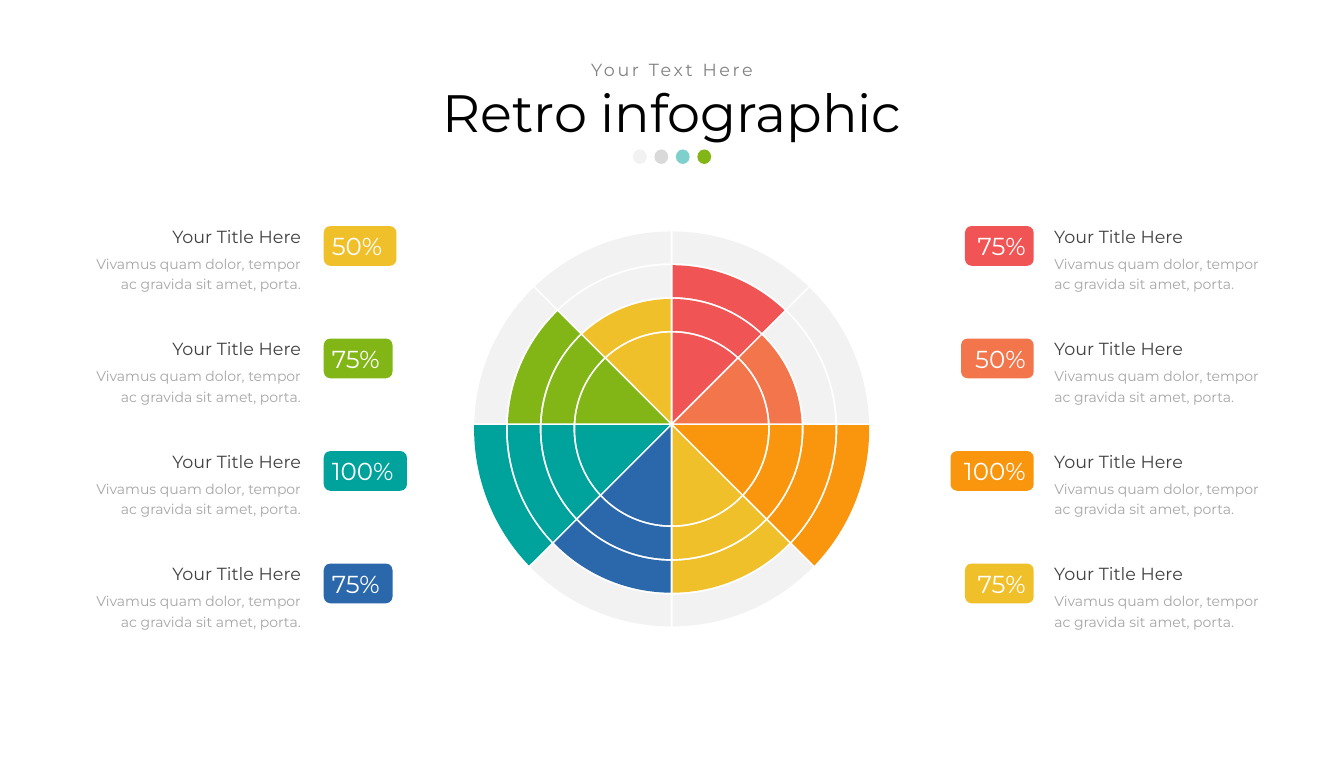
"""Build the retro infographic slide: a segmented wheel with eight percentage labels."""
from math import atan2, cos, hypot, radians, sin, sqrt, tan

from lxml import etree
from pptx import Presentation
from pptx.dml.color import RGBColor
from pptx.enum.shapes import MSO_SHAPE
from pptx.enum.text import MSO_ANCHOR, PP_ALIGN
from pptx.oxml.ns import qn
from pptx.util import Pt

LEFT, CENTER, RIGHT = PP_ALIGN.LEFT, PP_ALIGN.CENTER, PP_ALIGN.RIGHT
TOP, MIDDLE = MSO_ANCHOR.TOP, MSO_ANCHOR.MIDDLE
ELLIPSE, ROUND_RECT = MSO_SHAPE.OVAL, MSO_SHAPE.ROUNDED_RECTANGLE

HEADING = "Retro infographic"
KICKER = "Your Text Here"
ITEM_TITLE = "Your Title Here"
ITEM_BODY = "Vivamus quam dolor, tempor ac gravida sit amet, porta."
SECTORS = [
    (75, "red"), (50, "coral"), (100, "orange"), (75, "yellow"),
    (75, "blue"), (100, "teal"), (75, "green"), (50, "yellow"),
]
DOTS = [("empty", 100), ("silver", 98), ("teal", 50), ("green", 100)]

THEME = {
    "font": "Montserrat",
    "colors": {
        "red": "F05455", "coral": "F2754B", "orange": "F9960E", "yellow": "F0C02B",
        "blue": "2B68AB", "teal": "00A39B", "green": "82B617", "empty": "F2F2F2",
        "silver": "D9D9D9", "black": "000000", "white": "FFFFFF",
        "kicker": "808080", "title": "404040", "body": "A6A6A6",
    },
    "sizes": {"heading": 60, "kicker": 20, "badge": 28, "title": 20, "body": 16},
}

SLIDE_WIDTH, SLIDE_HEIGHT = 1533.6, 864
HUB_X, HUB_Y, RING_CENTER_Y = 766.4, 484.2, 489.6
FIRST_RADIUS, RING_STEP, RING_GAP, SPOKE_GAP = 109.9, 38.5, 2.2, 1.08
RING_COUNT = 4
SECTOR_ANGLE = 360 / len(SECTORS)

ROW_PITCH = 128.4
BADGE_WIDTHS = {50: 83, 75: 78.5, 100: 95}
BADGE_TOP, BADGE_HEIGHT = 258, 45.4
TITLE_TOP, TITLE_WIDTH, TITLE_HEIGHT = 249.1, 165.6, 36
BODY_TOP, BODY_WIDTH, BODY_HEIGHT = 284.2, 267.8, 52
LEFT_TEXT_EDGE, LEFT_BADGE_EDGE = 350.6, 369.4
RIGHT_BADGE_EDGE, RIGHT_TEXT_EDGE = 1179.6, 1195.9
DOT_LEFT, DOT_TOP, DOT_PITCH, DOT_WIDTH, DOT_HEIGHT = 722.2, 170.6, 24.5, 15.8, 16.6


def color(name):
    return RGBColor.from_string(THEME["colors"][name])


def write(frame, text, *, style, ink, align=LEFT, anchor=TOP, line=1.0, tracking=0):
    frame.word_wrap = True
    frame.vertical_anchor = anchor
    paragraph = frame.paragraphs[0]
    paragraph.alignment = align
    paragraph.line_spacing = line
    paragraph.space_before = Pt(0)
    run = paragraph.add_run()
    run.text = text
    run.font.name = THEME["font"]
    run.font.size = Pt(THEME["sizes"][style])
    run.font.color.rgb = color(ink)
    if tracking:
        run.font._element.set("spc", str(tracking * 100))


def box(slide, left, top, width, height, text, **style):
    holder = slide.shapes.add_textbox(Pt(left), Pt(top), Pt(width), Pt(height))
    write(holder.text_frame, text, **style)


def paint(shape, name, opacity=100):
    shape.shadow.inherit = False
    shape.fill.solid()
    shape.fill.fore_color.rgb = color(name)
    shape.line.fill.background()
    if opacity < 100:
        tint = shape.fill._xPr.find(qn("a:solidFill"))[0]
        etree.SubElement(tint, qn("a:alpha")).set("val", str(opacity * 1000))


def direction(angle):
    return sin(radians(angle)), -cos(radians(angle))


def ray_hit(apex, angle, radius):
    """Return where a ray from the apex meets a ring."""
    dx, dy = direction(angle)
    px, py = apex[0] - HUB_X, apex[1] - RING_CENTER_Y
    along = px * dx + py * dy
    reach = sqrt(along ** 2 - hypot(px, py) ** 2 + radius ** 2) - along
    return apex[0] + reach * dx, apex[1] + reach * dy


def arc(start, end):
    """Return the four Bezier points of a ring arc."""
    (ax, ay), (bx, by) = [(x - HUB_X, y - RING_CENTER_Y) for x, y in (start, end)]
    pull = 4 / 3 * tan(atan2(ax * by - ay * bx, ax * bx + ay * by) / 4)
    return [start, (start[0] - pull * ay, start[1] + pull * ax),
            (end[0] + pull * by, end[1] - pull * bx), end]


def segment_outline(sector, ring):
    start = sector * SECTOR_ANGLE
    end = start + SECTOR_ANGLE
    dx, dy = direction(start + SECTOR_ANGLE / 2)
    inset = SPOKE_GAP / sin(radians(SECTOR_ANGLE / 2))
    apex = HUB_X + inset * dx, HUB_Y + inset * dy
    outer = FIRST_RADIUS + ring * RING_STEP
    outer_arc = arc(ray_hit(apex, start, outer), ray_hit(apex, end, outer))
    if ring == 0:
        return outer_arc + [apex]
    inner = outer - RING_STEP + RING_GAP
    return outer_arc + arc(ray_hit(apex, end, inner), ray_hit(apex, start, inner))


def curve_arcs(segment):
    """Merge the arc points of a segment into cubic curves."""
    lines = list(segment._element.iter(qn("a:lnTo")))
    for trio in (lines[:3], lines[4:]):
        if trio:
            curve = etree.Element(qn("a:cubicBezTo"))
            trio[0].addprevious(curve)
            for line in trio:
                curve.append(line[0])
                line.getparent().remove(line)


def draw_wheel(slide):
    wheel = slide.shapes.add_group_shape()
    for sector, (percent, name) in enumerate(SECTORS):
        for ring in range(RING_COUNT):
            points = [(Pt(x), Pt(y)) for x, y in segment_outline(sector, ring)]
            builder = wheel.shapes.build_freeform(*points[0])
            builder.add_line_segments(points[1:], close=True)
            segment = builder.convert_to_shape()
            curve_arcs(segment)
            filled = ring < percent * RING_COUNT / 100
            paint(segment, name if filled else "empty")


def draw_item(slide, row, percent, name, on_left):
    shift = row * ROW_PITCH
    width = BADGE_WIDTHS[percent]
    badge_left = LEFT_BADGE_EDGE if on_left else RIGHT_BADGE_EDGE - width
    badge = slide.shapes.add_shape(
        ROUND_RECT, Pt(badge_left), Pt(BADGE_TOP + shift), Pt(width), Pt(BADGE_HEIGHT))
    paint(badge, name)
    write(badge.text_frame, f"{percent}%", style="badge", ink="white",
          align=LEFT if on_left else RIGHT, anchor=MIDDLE)
    for text, style, top, text_width, height in (
        (ITEM_TITLE, "title", TITLE_TOP, TITLE_WIDTH, TITLE_HEIGHT),
        (ITEM_BODY, "body", BODY_TOP, BODY_WIDTH, BODY_HEIGHT),
    ):
        left = LEFT_TEXT_EDGE - text_width if on_left else RIGHT_TEXT_EDGE
        box(slide, left, top + shift, text_width, height, text, style=style, ink=style,
            align=RIGHT if on_left else LEFT, line=1.2)


def draw_header(slide):
    heading = slide.shapes.title
    heading.left, heading.top = Pt(73.4), Pt(94.3)
    heading.width, heading.height = Pt(1386.8), Pt(74.2)
    write(heading.text_frame, HEADING, style="heading", ink="black",
          align=CENTER, anchor=MIDDLE, line=0.9)
    box(slide, 538.6, 68.4, 456.4, 25.2, KICKER, style="kicker", ink="kicker",
        align=CENTER, anchor=MIDDLE, line=0.9, tracking=3)
    dots = slide.shapes.add_group_shape()
    for i, (name, opacity) in enumerate(DOTS):
        dot = dots.shapes.add_shape(ELLIPSE, Pt(DOT_LEFT + i * DOT_PITCH), Pt(DOT_TOP),
                                    Pt(DOT_WIDTH), Pt(DOT_HEIGHT))
        paint(dot, name, opacity)


def main():
    deck = Presentation()
    deck.slide_width, deck.slide_height = Pt(SLIDE_WIDTH), Pt(SLIDE_HEIGHT)
    slide = deck.slides.add_slide(deck.slide_layouts[5])
    draw_wheel(slide)
    draw_header(slide)
    half = len(SECTORS) // 2
    for row in range(half):
        draw_item(slide, row, *SECTORS[row], on_left=False)
        draw_item(slide, row, *SECTORS[-1 - row], on_left=True)
    deck.save("out.pptx")


if __name__ == "__main__":
    main()
